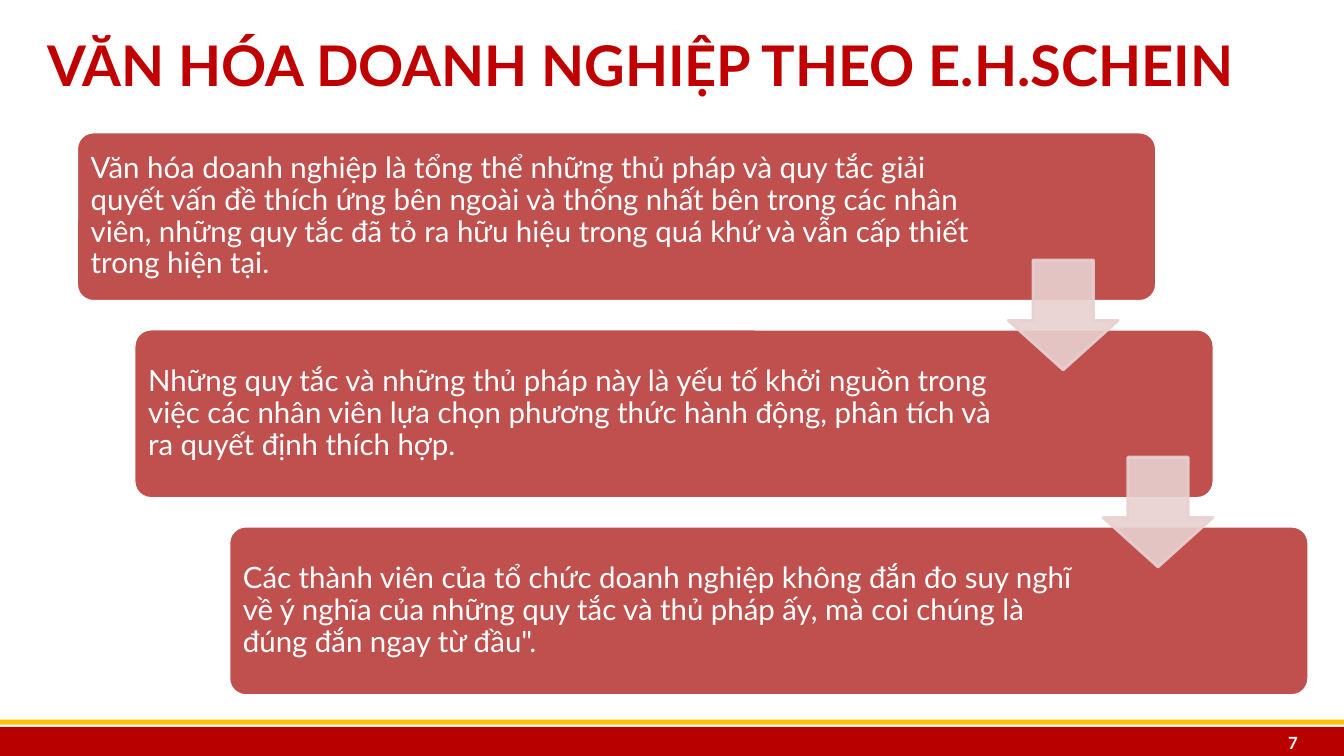
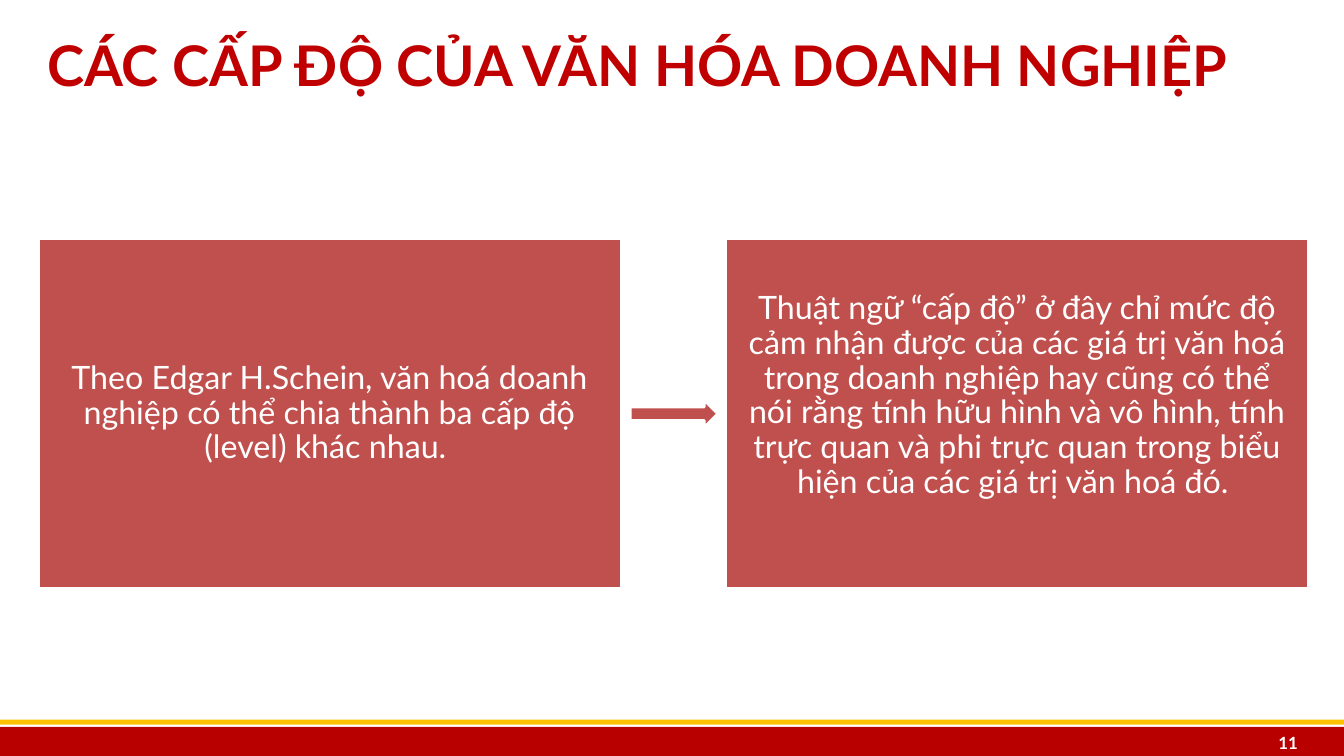
from lxml.etree import SubElement
from pptx import Presentation
from pptx.dml.color import RGBColor
from pptx.enum.shapes import MSO_SHAPE as Shape
from pptx.enum.text import MSO_ANCHOR as Anchor, PP_ALIGN as Align
from pptx.oxml.ns import qn
from pptx.util import Inches, Pt

WIDTH, HEIGHT = 13.33, 7.5
MARGIN = 0.37
RIGHT_EDGE = WIDTH - 0.36
FONT = "Lato"
TITLE_RED, BAND_RED, BOX_RED = "C00000", "B80000", "C0504D"
GOLD, PINK, WHITE = "FFC000", "E8D0D0", "FFFFFF"


def add_box(page, kind, place, fill, line=None, opacity=100):
    box = page.shapes.add_shape(kind, *map(Inches, place))
    box.shadow.inherit = False
    box.fill.solid()
    box.fill.fore_color.rgb = RGBColor.from_string(fill)
    if line:
        box.line.color.rgb = RGBColor.from_string(line)
        box.line.width = Pt(2)
    else:
        box.line.fill.background()
    if opacity < 100:
        for color in list(box.element.spPr.iter(qn("a:srgbClr"))):
            SubElement(color, qn("a:alpha"), val=str(opacity * 1000))
    return box


def write(box, text, size, color, insets, align=Align.LEFT, bold=False, spacing=None):
    frame = box.text_frame
    frame.word_wrap = True
    frame.vertical_anchor = Anchor.MIDDLE
    (frame.margin_left, frame.margin_top,
     frame.margin_right, frame.margin_bottom) = map(Inches, insets)
    para = frame.paragraphs[0]
    para.text = text
    para.alignment = align
    para.line_spacing = spacing
    para.font.name = FONT
    para.font.size = Pt(size)
    para.font.bold = bold
    para.font.color.rgb = RGBColor.from_string(color)


deck = Presentation()
deck.slide_width, deck.slide_height = Inches(WIDTH), Inches(HEIGHT)

# Shared bands, title and page number
pages = []
for title, number in [
    ("VĂN HÓA DOANH NGHIỆP THEO E.H.SCHEIN", "7"),
    ("CÁC CẤP ĐỘ CỦA VĂN HÓA DOANH NGHIỆP", "11"),
]:
    page = deck.slides.add_slide(deck.slide_layouts[6])
    add_box(page, Shape.RECTANGLE, (0, 7.21, WIDTH, 0.31), BAND_RED)
    add_box(page, Shape.RECTANGLE, (0, 7.14, WIDTH, 0.05), GOLD)
    heading = page.shapes.add_textbox(
        *map(Inches, (MARGIN, 0.05, RIGHT_EDGE - MARGIN, 1.18)))
    write(heading, title, 40, TITLE_RED, (0.1, 0.05, 0.1, 0.05), bold=True)
    footer = page.shapes.add_textbox(*map(Inches, (RIGHT_EDGE - 0.87, 7.21, 0.87, 0.31)))
    write(footer, number, 12, WHITE, (0.1, 0, 0.1, 0), Align.RIGHT, bold=True)
    pages.append(page)
definition_page, levels_page = pages

# Definition: three staggered steps (left, right inset, text)
STEP_TOP, STEP_PITCH, STEP_WIDTH, STEP_HEIGHT = 1.31, 1.955, 10.71, 1.68
steps = [
    (0.76, 1.8, "Văn hóa doanh nghiệp là tổng thể những thủ pháp và quy tắc giải quyết "
     "vấn đề thích ứng bên ngoài và thống nhất bên trong các nhân viên, những quy tắc "
     "đã tỏ ra hữu hiệu trong quá khứ và vẫn cấp thiết trong hiện tại."),
    (1.33, 2.12, "Những quy tắc và những thủ pháp này là yếu tố khởi nguồn trong việc "
     "các nhân viên lựa chọn phương thức hành động, phân tích và ra quyết định thích hợp."),
    (2.27, 2.12, "Các thành viên của tổ chức doanh nghiệp không đắn đo suy nghĩ về ý nghĩa "
     "của những quy tắc và thủ pháp ấy, mà coi chúng là đúng đắn ngay từ đầu\"."),
]
for row, (left, right_inset, text) in enumerate(steps):
    step = add_box(definition_page, Shape.ROUNDED_RECTANGLE,
                   (left, STEP_TOP + row * STEP_PITCH, STEP_WIDTH, STEP_HEIGHT),
                   BOX_RED, WHITE)
    step.adjustments[0] = 0.1
    write(step, text, 21, WHITE, (0.09, 0.09, right_inset, 0.09), spacing=0.9)

# Arrows bridge each gap, aligned with the step they point to
for row, (left, _, _) in enumerate(steps[1:]):
    arrow = add_box(definition_page, Shape.DOWN_ARROW,
                    (left + 8.67, STEP_TOP + row * STEP_PITCH + 1.27, 1.09, 1.09),
                    PINK, PINK, opacity=90)
    arrow.adjustments[0], arrow.adjustments[1] = 0.55, 0.45

# Levels: two cards joined by an arrow (bottom inset, text)
CARD_LEFT, CARD_TOP, CARD_WIDTH, CARD_HEIGHT, CARD_PITCH = 0.38, 2.37, 5.78, 3.47, 6.82
cards = [
    (0.17, "Theo Edgar H.Schein, văn hoá doanh nghiệp có thể chia thành ba cấp độ "
     "(level) khác nhau. "),
    (0.52, "Thuật ngữ “cấp độ” ở đây chỉ mức độ cảm nhận được của các giá trị văn hoá "
     "trong doanh nghiệp hay cũng có thể nói rằng tính hữu hình và vô hình, tính trực "
     "quan và phi trực quan trong biểu hiện của các giá trị văn hoá đó. "),
]
for column, (bottom_inset, text) in enumerate(cards):
    card = add_box(levels_page, Shape.RECTANGLE,
                   (CARD_LEFT + column * CARD_PITCH, CARD_TOP, CARD_WIDTH, CARD_HEIGHT),
                   BOX_RED, WHITE)
    write(card, text, 23, WHITE, (0.17, 0.17, 0.17, bottom_inset), Align.CENTER, spacing=0.9)
add_box(levels_page, Shape.RIGHT_ARROW,
        (6.25, CARD_TOP + (CARD_HEIGHT - 0.27) / 2, 0.87, 0.27), BOX_RED, WHITE)

deck.save("out.pptx")
